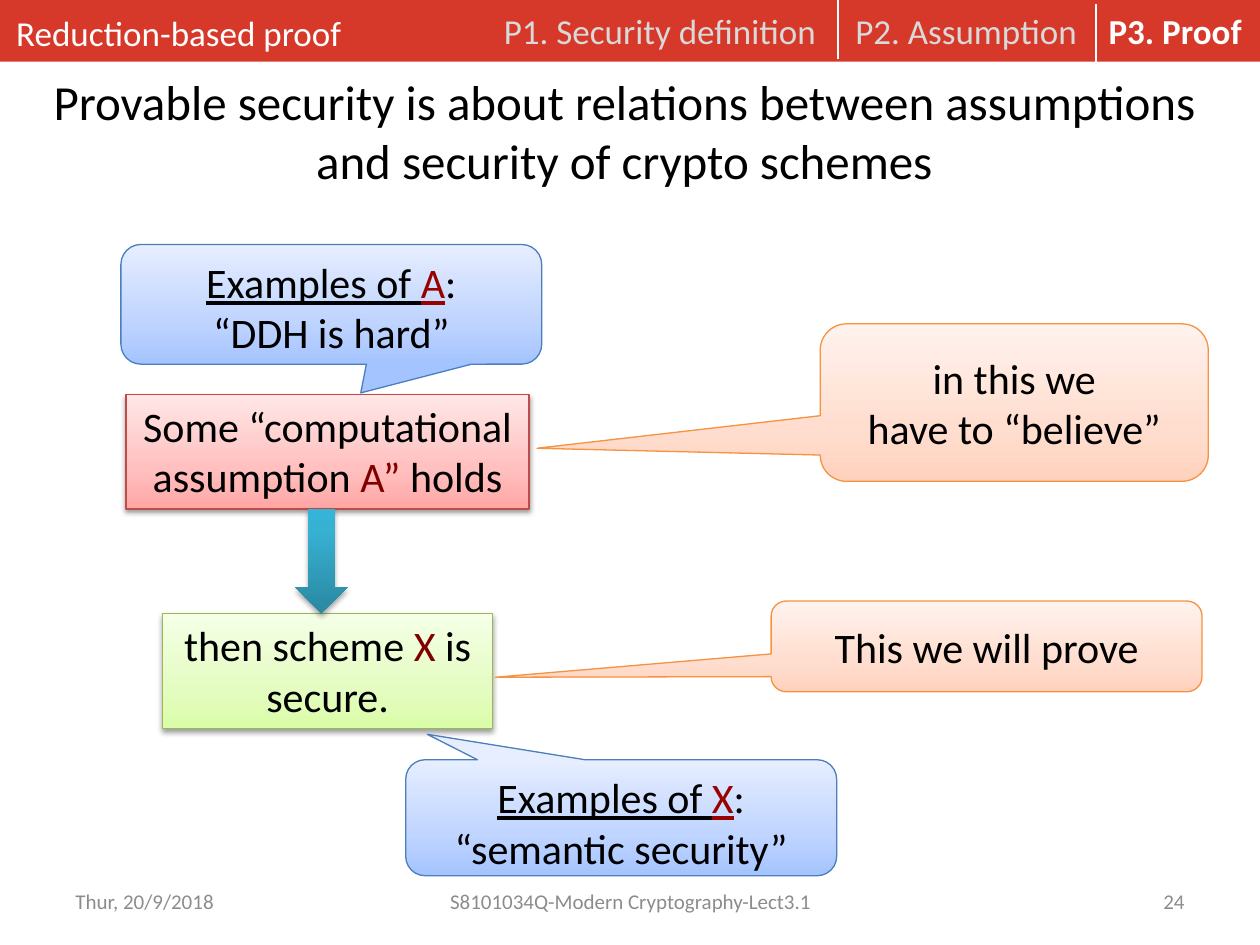
from lxml import etree
from pptx import Presentation
from pptx.dml.color import RGBColor
from pptx.enum.shapes import MSO_CONNECTOR, MSO_SHAPE
from pptx.enum.text import MSO_ANCHOR, PP_ALIGN
from pptx.oxml.ns import qn
from pptx.util import Inches, Pt

LEFT, CENTER, RIGHT = PP_ALIGN.LEFT, PP_ALIGN.CENTER, PP_ALIGN.RIGHT
TOP, MIDDLE = MSO_ANCHOR.TOP, MSO_ANCHOR.MIDDLE
RECTANGLE, DOWN_ARROW = MSO_SHAPE.RECTANGLE, MSO_SHAPE.DOWN_ARROW
CALLOUT = MSO_SHAPE.ROUNDED_RECTANGULAR_CALLOUT
STRAIGHT = MSO_CONNECTOR.STRAIGHT

FONT = "Calibri"
COLORS = {
    "banner": "D6392A", "white": "FFFFFF", "black": "000000",
    "inactive": "D9D9D9", "footer": "8C8C8C",
    "box_symbol": "800000", "callout_symbol": "990000",
    "red_line": "BF4C48", "green_line": "98B955",
    "orange_line": "F69240", "blue_line": "4B7EBC",
}
GRADIENTS = {
    "red": [(0, "FFA6A5"), (35, "FFC0BF"), (100, "FFE7E7")],
    "green": [(0, "DAFDA7"), (35, "E4FCC2"), (100, "F5FFE7")],
    "orange": [(0, "FFD2BD"), (35, "FFDED0"), (100, "FFF2ED")],
    "blue": [(0, "A4C4FF"), (35, "BFD4FF"), (100, "E6EEFF")],
    "teal": [(0, "2A88A2"), (80, "37B1D2"), (100, "34B4D6")],
}


def color(name):
    return RGBColor.from_string(COLORS[name])


def set_gradient(shape, name):
    shape.fill.gradient()
    shape.fill.gradient_angle = 90
    stops = shape._element.spPr.find(qn("a:gradFill")).find(qn("a:gsLst"))
    for stop in list(stops):
        stops.remove(stop)
    for position, value in GRADIENTS[name]:
        stop = etree.SubElement(stops, qn("a:gs"), pos=str(position * 1000))
        etree.SubElement(stop, qn("a:srgbClr"), val=value)


def add_shadow(shape, distance, opacity):
    effects = shape._element.spPr.find(qn("a:effectLst"))
    shadow = etree.SubElement(effects, qn("a:outerShdw"), blurRad=str(Pt(3.1)),
                              dist=str(Pt(distance)), dir="5400000", rotWithShape="0")
    tint = etree.SubElement(shadow, qn("a:srgbClr"), val=COLORS["black"])
    etree.SubElement(tint, qn("a:alpha"), val=str(opacity * 1000))


def add_text(slide, box, text, size, color_name, align=LEFT, anchor=TOP, bold=False):
    frame = slide.shapes.add_textbox(*map(Inches, box)).text_frame
    frame.word_wrap = True
    frame.vertical_anchor = anchor
    paragraph = frame.paragraphs[0]
    paragraph.text = text
    paragraph.alignment = align
    font = paragraph.font
    font.name, font.size, font.bold = FONT, Pt(size), bold
    font.color.rgb = color(color_name)


def add_shape(slide, kind, box, line=None):
    shape = slide.shapes.add_shape(kind, *map(Inches, box))
    shape.shadow.inherit = False
    if line:
        shape.line.color.rgb = color(line)
        shape.line.width = Pt(0.75)
    else:
        shape.line.fill.background()
    return shape


def add_lines(shape, lines, anchor, symbol_color, hanging=False):
    frame = shape.text_frame
    frame.word_wrap = True
    frame.vertical_anchor = anchor
    for index, runs in enumerate(lines):
        paragraph = frame.add_paragraph() if index else frame.paragraphs[0]
        paragraph.alignment = CENTER
        paragraph.font.name, paragraph.font.size = FONT, Pt(24)
        paragraph.font.color.rgb = color("black")
        if hanging:
            properties = paragraph._p.get_or_add_pPr()
            properties.set("marL", str(Inches(0.67)))
            properties.set("indent", str(-Inches(0.67)))
        for text, style in runs:
            run = paragraph.add_run()
            run.text = text
            run.font.color.rgb = color(symbol_color if "symbol" in style else "black")
            if "underline" in style:
                run.font.underline = True


def add_box(slide, box, palette, lines):
    shape = add_shape(slide, RECTANGLE, box, palette + "_line")
    set_gradient(shape, palette)
    add_shadow(shape, 1.6, 38)
    add_lines(shape, lines, TOP, "box_symbol")


def add_callout(slide, box, tip, palette, lines, anchor):
    shape = add_shape(slide, CALLOUT, box, palette + "_line")
    shape.adjustments[0], shape.adjustments[1] = tip
    set_gradient(shape, palette)
    add_lines(shape, lines, anchor, "callout_symbol", hanging=True)


def add_example(slide, box, tip, symbol, example):
    heading = [("Examples of ", "underline"), (symbol, "underline symbol"), (":", "")]
    add_callout(slide, box, tip, "blue", [heading, [(example, "")]], TOP)


def add_remark(slide, box, tip, *lines):
    add_callout(slide, box, tip, "orange", [[(line, "")] for line in lines], MIDDLE)


def add_divider(slide, x, top, bottom):
    line = slide.shapes.add_connector(STRAIGHT, *map(Inches, (x, top, x, bottom)))
    line.line.color.rgb = color("white")
    line.line.width = Pt(1.5)
    etree.SubElement(line._element.spPr, qn("a:effectLst"))


def add_arrow(slide, box):
    arrow = add_shape(slide, DOWN_ARROW, box)
    set_gradient(arrow, "teal")
    add_shadow(arrow, 1.8, 35)


def add_banner(slide):
    banner = add_shape(slide, RECTANGLE, (0, 0, 10, 0.49))
    banner.fill.solid()
    banner.fill.fore_color.rgb = color("banner")
    add_text(slide, (3.9, 0.03, 2.77, 0.44), "P1. Security definition", 20, "inactive")
    add_text(slide, (6.69, 0.03, 2.33, 0.44), "P2. Assumption", 20, "inactive")
    add_text(slide, (8.7, 0.03, 1.26, 0.44), "P3. Proof", 20, "white", bold=True)
    add_divider(slide, 6.65, 0, 0.47)
    add_divider(slide, 8.7, 0.03, 0.49)
    add_text(slide, (0.03, 0.04, 3.28, 0.44), "Reduction-based proof", 20, "white")


def add_footer(slide):
    for left, width, text, align in (
        (0.5, 2.33, "Thur, 20/9/2018", LEFT),
        (3.42, 3.17, "S8101034Q-Modern Cryptography-Lect3.1", CENTER),
        (7.17, 2.33, "24", RIGHT),
    ):
        add_text(slide, (left, 6.95, width, 0.4), text, 12, "footer", align, MIDDLE)


def main():
    presentation = Presentation()
    presentation.slide_width, presentation.slide_height = Inches(10), Inches(7.5)
    slide = presentation.slides.add_slide(presentation.slide_layouts[6])
    add_footer(slide)
    add_text(slide, (0.12, 0.52, 9.67, 0.85),
             "Provable security is about relations between assumptions "
             "and security of crypto schemes", 28, "black", CENTER)
    add_banner(slide)
    add_box(slide, (1.29, 4.87, 2.62, 0.91), "green",
            [[("then scheme ", ""), ("X", "symbol"), (" is secure.", "")]])
    add_box(slide, (1, 3.13, 3.2, 0.91), "red",
            [[("Some “computational", "")],
             [("assumption ", ""), ("A” ", "symbol"), ("holds", "")]])
    add_remark(slide, (6.51, 2.57, 3.08, 1.25), (-1.23, 0.29),
               "in this we", "have to “believe”")
    add_remark(slide, (6.12, 4.77, 3.42, 0.72), (-1.14, 0.34), "This we will prove")
    add_example(slide, (0.96, 1.94, 3.34, 0.95), (0.07, 0.74), "A", "“DDH is hard”")
    add_arrow(slide, (2.34, 4.04, 0.42, 0.83))
    add_example(slide, (3.22, 6.03, 3.42, 0.92), (-0.45, -0.72), "X", "“semantic security”")
    presentation.save("out.pptx")


if __name__ == "__main__":
    main()
